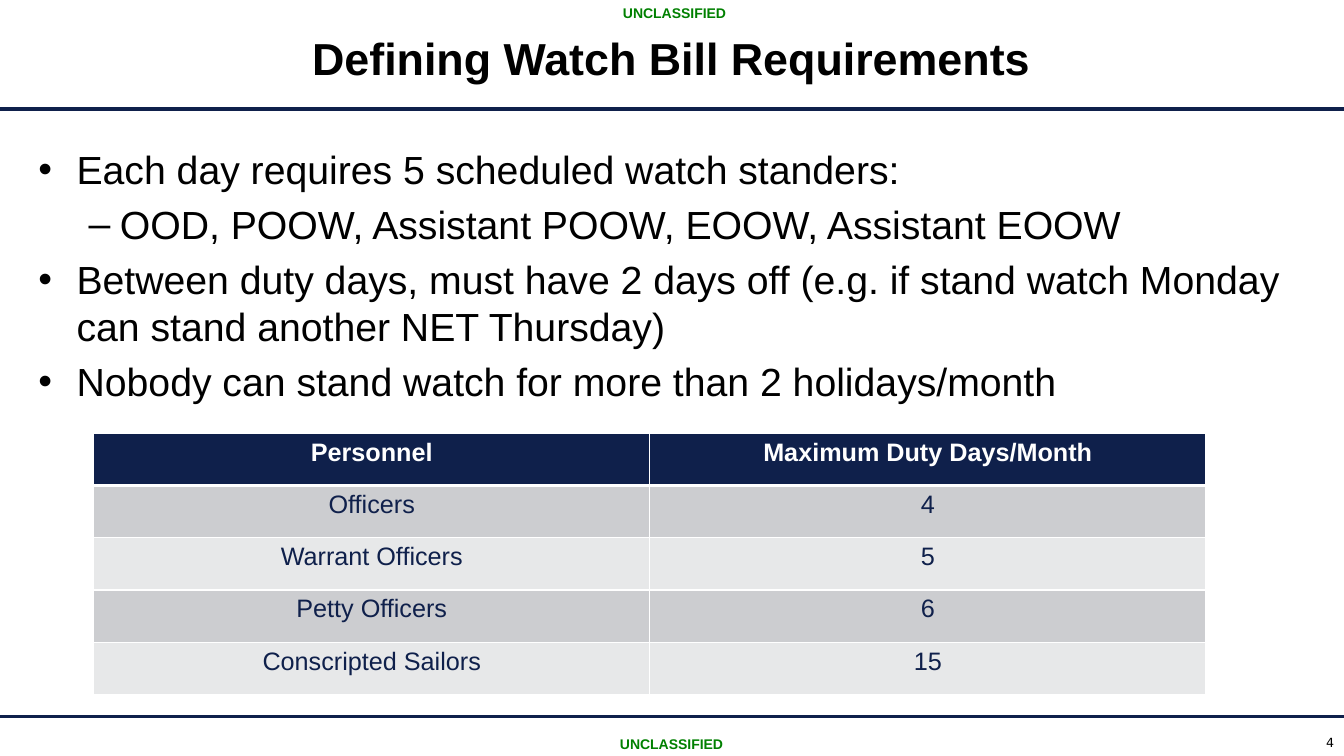
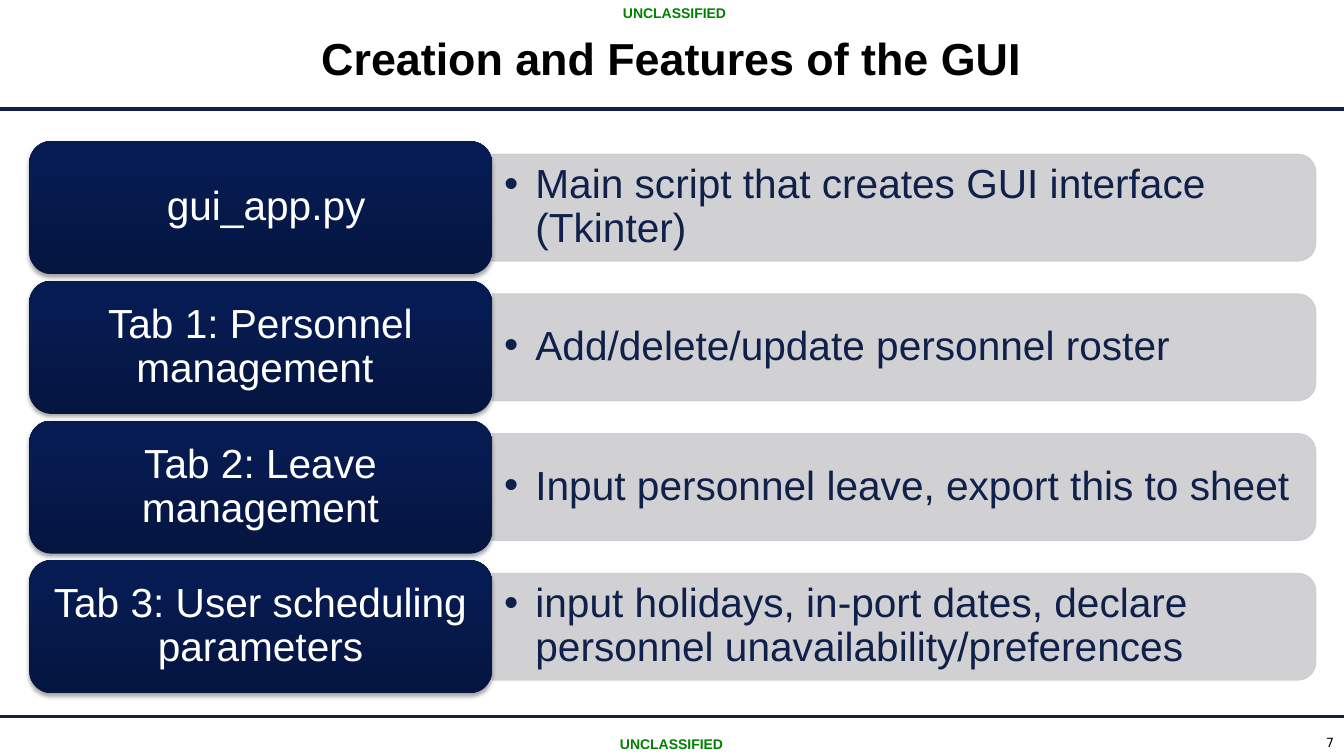
from lxml import etree
from pptx import Presentation
from pptx.dml.color import RGBColor
from pptx.enum import shapes, text
from pptx.oxml import ns
from pptx.util import Inches, Pt

NAVY = RGBColor(0x0F, 0x20, 0x4B)
TAB_BOTTOM = RGBColor(0x04, 0x15, 0x3F)
TAB_TOP = RGBColor(0x06, 0x1B, 0x51)
GREY = RGBColor(0xCC, 0xCD, 0xD0)
PALE = RGBColor(0xE7, 0xE8, 0xE9)
GREEN = RGBColor(0x00, 0x80, 0x00)
BLACK = RGBColor(0, 0, 0)
WHITE = RGBColor(0xFF, 0xFF, 0xFF)

WIDTH, HEIGHT = 13.33, 7.5
TITLE_ONLY, TITLE_AND_BODY = 5, 1
CENTER, RIGHT = text.PP_ALIGN.CENTER, text.PP_ALIGN.RIGHT
MIDDLE = text.MSO_ANCHOR.MIDDLE

DUTY_LIMITS = [
    ("Personnel", "Maximum Duty Days/Month"),
    ("Officers", "4"),
    ("Warrant Officers", "5"),
    ("Petty Officers", "6"),
    ("Conscripted Sailors", "15"),
]
# A no-break space joins "Monday" and "can".
REQUIREMENTS = [
    (0, "Each day requires 5 scheduled watch standers:"),
    (1, "OOD, POOW, Assistant POOW, EOOW, Assistant EOOW"),
    (0, "Between duty days, must have 2 days off (e.g. if stand watch "
        "Monday can stand another NET Thursday)"),
    (0, "Nobody can stand watch for more than 2 holidays/month"),
]
GUI_FEATURES = [
    (" gui_app.py", "Main script that creates GUI interface (Tkinter)"),
    ("Tab 1: Personnel management ", "Add/delete/update personnel roster"),
    ("Tab 2: Leave management", "Input personnel leave, export this to sheet"),
    ("Tab 3: User scheduling parameters",
     "input holidays, in-port dates, declare personnel unavailability/preferences"),
]


def inches(*lengths):
    return [Inches(length) for length in lengths]


def add_xml(parent, tag, **attributes):
    return etree.SubElement(parent, ns.qn(tag), attributes)


def write(para, words, size, color=BLACK, bold=False, font="Arial", align=None,
          before=0, after=0, spacing=None, bullet=None, indent=0, hang=0):
    """Put one formatted run in a paragraph; indent and hang are in inches."""
    span = para.add_run()
    span.text = words
    span.font.name, span.font.size = font, Pt(size)
    span.font.bold, span.font.color.rgb = bold, color
    para.alignment = align
    para.space_before, para.space_after = Pt(before), Pt(after)
    para.line_spacing = spacing
    if bullet:
        properties = para._p.get_or_add_pPr()
        properties.set("marL", str(Inches(indent)))
        properties.set("indent", str(-Inches(hang)))
        add_xml(properties, "a:buFont", typeface="Arial")
        add_xml(properties, "a:buChar", char=bullet)


def prepare_frame(shape, anchor=None, margins=(0.1, 0.05)):
    frame = shape.text_frame
    frame.word_wrap = True
    frame.auto_size = text.MSO_AUTO_SIZE.NONE
    frame.vertical_anchor = anchor
    frame.margin_left = frame.margin_right = Inches(margins[0])
    frame.margin_top = frame.margin_bottom = Inches(margins[1])
    return frame


def place(shape, left, top, width, height):
    shape.left, shape.top, shape.width, shape.height = inches(left, top, width, height)


def add_label(page, area, words, size, anchor=None, margins=(0.1, 0.05), **style):
    box = page.shapes.add_textbox(*inches(*area))
    write(prepare_frame(box, anchor, margins).paragraphs[0], words, size, **style)


def add_rule(page, top):
    rule = page.shapes.add_connector(
        shapes.MSO_CONNECTOR.STRAIGHT, *inches(0, top, WIDTH, top))
    rule.line.color.rgb, rule.line.width = NAVY, Pt(2.5)
    add_xml(rule._element.spPr, "a:effectLst")


def add_page(deck, layout, title, number):
    """Add a slide with the shared markings, rules, title and number."""
    page = deck.slides.add_slide(deck.slide_layouts[layout])
    for area in ((3.04, 0, 7.3, 0.25), (4.39, 7.25, 4.54, 0.25)):
        add_label(page, area, "UNCLASSIFIED", 10, color=GREEN, bold=True,
                  align=CENTER, before=1)
    for top in (1.08, 7.11):
        add_rule(page, top)
    heading = page.shapes.title
    place(heading, 1.22, 0.22, 10.88, 0.82)
    frame = prepare_frame(heading, MIDDLE, (0.05, 0))
    write(frame.paragraphs[0], title, 32, bold=True, align=CENTER,
          before=6.4, spacing=0.75)
    add_label(page, (10.22, 7.24, 3.11, 0.25), number, 9,
              font="DejaVu Sans", align=RIGHT)
    return page


def fill_body(page, items):
    body = page.placeholders[1]
    place(body, 0.28, 1.39, 12.76, 5.49)
    frame = prepare_frame(body)
    levels = (("•", 0.38, 0.38), ("–", 0.81, 0.31))
    for index, (level, words) in enumerate(items):
        para = frame.add_paragraph() if index else frame.paragraphs[0]
        para.level = level
        bullet, indent, hang = levels[level]
        write(para, words, 28, before=5.6, bullet=bullet, indent=indent, hang=hang)


def add_duty_table(page, rows):
    frame = page.shapes.add_table(
        len(rows), len(rows[0]), *inches(0.93, 4.3, 11.03, 2.59))
    for row_index, row in enumerate(rows):
        header = row_index == 0
        background = NAVY if header else GREY if row_index % 2 else PALE
        for column_index, words in enumerate(row):
            cell = frame.table.cell(row_index, column_index)
            if header:
                properties = cell._tc.get_or_add_tcPr()
                border = add_xml(properties, "a:lnB", w=str(Pt(3)))
                add_xml(add_xml(border, "a:solidFill"), "a:srgbClr", val=str(WHITE))
            cell.fill.solid()
            cell.fill.fore_color.rgb = background
            write(cell.text_frame.paragraphs[0], words, 18, bold=header,
                  color=WHITE if header else NAVY, align=CENTER)


def add_bar(page, left, middle, length, thickness):
    """Add a grey bar with a rounded right end: a top-rounded shape turned by 90°."""
    bar = page.shapes.add_shape(
        shapes.MSO_SHAPE.ROUND_2_SAME_RECTANGLE,
        *inches(left + (length - thickness) / 2, middle - length / 2, thickness, length))
    bar.rotation = 90
    bar.shadow.inherit = False
    bar.fill.solid()
    bar.fill.fore_color.rgb = GREY
    bar.line.color.rgb, bar.line.width = GREY, Pt(0.75)
    for color in bar._element.spPr.iter(ns.qn("a:srgbClr")):
        add_xml(color, "a:alpha", val="90000")


def add_tab(page, area, words):
    tab = page.shapes.add_shape(shapes.MSO_SHAPE.ROUNDED_RECTANGLE, *inches(*area))
    tab.fill.gradient()
    tab.fill.gradient_angle = 90
    for stop, color, position in zip(
            tab.fill.gradient_stops, (TAB_BOTTOM, TAB_TOP), (0, 0.8)):
        stop.color.rgb, stop.position = color, position
    tab.line.fill.background()
    tab.shadow.inherit = False
    effects = tab._element.spPr.find(ns.qn("a:effectLst"))
    shadow = add_xml(effects, "a:outerShdw", blurRad=str(Pt(3.1)), dist=str(Pt(1.8)),
                     dir="5400000", rotWithShape="0")
    add_xml(add_xml(shadow, "a:srgbClr", val="000000"), "a:alpha", val="35000")
    frame = prepare_frame(tab, MIDDLE, (0.12, 0.06))
    write(frame.paragraphs[0], words, 29, color=WHITE, align=CENTER, spacing=0.9)


def add_feature_rows(page, features):
    left, top, tab_width, tab_height = 0.29, 1.4, 4.59, 1.32
    pitch = tab_height * 1.05
    bar_left = left + tab_width
    for index, (name, description) in enumerate(features):
        row_top = top + index * pitch
        middle = row_top + tab_height / 2
        add_bar(page, bar_left, middle, 8.17, 1.06)
        add_label(page, (bar_left, middle - 0.48, 8.12, 0.96), description, 29,
                  anchor=MIDDLE, margins=(0.12, 0.06), color=NAVY, spacing=0.9,
                  bullet="•", indent=0.31, hang=0.31)
        add_tab(page, (left, row_top, tab_width, tab_height), name)


def main():
    deck = Presentation()
    deck.slide_width, deck.slide_height = inches(WIDTH, HEIGHT)
    page = add_page(deck, TITLE_AND_BODY, "Defining Watch Bill Requirements", "4")
    fill_body(page, REQUIREMENTS)
    add_duty_table(page, DUTY_LIMITS)
    page = add_page(deck, TITLE_ONLY, "Creation and Features of the GUI", "7")
    add_feature_rows(page, GUI_FEATURES)
    deck.save("out.pptx")


if __name__ == "__main__":
    main()
